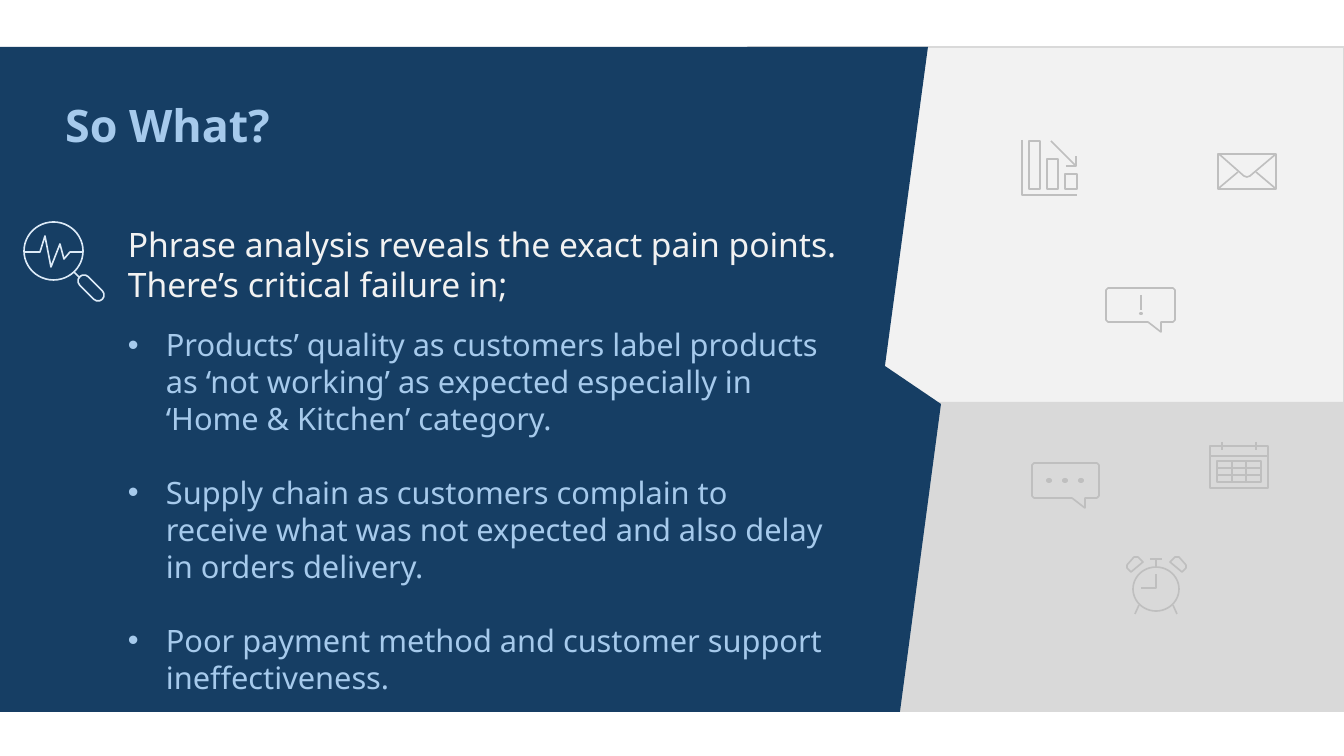
from lxml.etree import SubElement
from pptx import Presentation
from pptx.dml.color import RGBColor
from pptx.enum.shapes import MSO_CONNECTOR, MSO_SHAPE
from pptx.enum.text import MSO_ANCHOR, MSO_AUTO_SIZE, PP_ALIGN
from pptx.oxml.ns import qn
from pptx.util import Pt

PX = 914400 / 100.8
FONT = "Noto Sans"
ICON_STROKE = 1.15
COLORS = {
    "navy": "163E64", "sky": "A6CAEC", "ice": "DCEAF7",
    "light": "F2F2F2", "gray": "D9D9D9", "icon": "BFBFBF",
}


def paint(shape, fill=None, line=None, width=ICON_STROKE):
    """Set fill and line by colour name; None leaves that part empty."""
    shape.shadow.inherit = False
    if fill:
        shape.fill.solid()
        shape.fill.fore_color.rgb = RGBColor.from_string(COLORS[fill])
    else:
        shape.fill.background()
    if line:
        shape.line.color.rgb = RGBColor.from_string(COLORS[line])
        shape.line.width = Pt(width)
    else:
        shape.line.fill.background()


def write(frame, paragraphs, size, color, bold=False):
    frame.text = "\n".join(paragraphs)
    frame.word_wrap = True
    frame.auto_size = MSO_AUTO_SIZE.NONE
    frame.vertical_anchor = MSO_ANCHOR.TOP
    for paragraph in frame.paragraphs:
        paragraph.alignment = PP_ALIGN.LEFT
        for run in paragraph.runs:
            run.font.name = FONT
            run.font.size = Pt(size)
            run.font.bold = bold
            run.font.color.rgb = RGBColor.from_string(COLORS[color])


prs = Presentation()
prs.slide_width = round(1344 * PX)
prs.slide_height = round(756 * PX)
slide = prs.slides.add_slide(prs.slide_layouts[5])
shapes = slide.shapes

# Background panels
for top, height, fill, line in [(47, 376, "light", "gray"), (402, 310, "gray", None)]:
    panel = shapes.add_shape(MSO_SHAPE.RECTANGLE, *(round(v * PX) for v in (748, top, 596, height)))
    paint(panel, fill, line, 1.5)

navy_edge = [(928, 47), (885, 366), (941, 404), (900, 712), (-2, 712)]
builder = shapes.build_freeform(-2, 47, scale=PX)
builder.add_line_segments(navy_edge, close=True)
paint(builder.convert_to_shape(), "navy")

# Icon outlines: colour, closed or open, points
outlines = [
    # falling bar chart
    ("icon", False, [(1022, 140), (1022, 195), (1077, 195)]),
    ("icon", False, [(1066, 166), (1076, 166), (1076, 156)]),
    # envelope flap
    ("icon", False, [(1219, 154), (1244, 176), (1247, 177), (1250, 176), (1276, 154)]),
    # clock hands
    ("icon", False, [(1156, 574), (1156, 588), (1141, 588)]),
    # magnifier pulse
    ("ice", False, [(24, 252), (40, 252), (45, 236), (51, 267), (60, 244),
                    (64, 259), (70, 252), (82, 252)]),
]
for left, top, right, bottom in [(1106, 288, 1175, 322), (1032, 463, 1099, 498)]:
    outlines.append(("icon", True, [
        (left + 2, top), (right - 2, top), (right, top + 2), (right, bottom - 2),
        (right - 2, bottom), (right - 14, bottom), (right - 14, bottom + 10),
        (right - 27, bottom), (left + 2, bottom), (left, bottom - 2), (left, top + 2)]))
clock_bell = [(1134, 557), (1138, 557), (1143, 562), (1131, 572), (1127, 568), (1127, 565)]
outlines.append(("icon", True, clock_bell))
outlines.append(("icon", True, [(2313 - x, y) for x, y in clock_bell]))

for color, closed, points in outlines:
    builder = shapes.build_freeform(*points[0], scale=PX)
    builder.add_line_segments(points[1:], close=closed)
    paint(builder.convert_to_shape(), line=color)

# Icon boxes and rings: preset, colour, left, top, width, height
frames = [
    (MSO_SHAPE.RECTANGLE, "icon", 1029, 141, 11, 48),
    (MSO_SHAPE.RECTANGLE, "icon", 1047, 159, 11, 30),
    (MSO_SHAPE.RECTANGLE, "icon", 1065, 174, 12, 15),
    (MSO_SHAPE.RECTANGLE, "icon", 1218, 154, 58, 35),
    (MSO_SHAPE.RECTANGLE, "icon", 1210, 446, 58, 42),
    (MSO_SHAPE.RECTANGLE, "icon", 1217, 461, 44, 21),
    (MSO_SHAPE.OVAL, "icon", 1133, 567, 46, 44),
    (MSO_SHAPE.OVAL, "ice", 24, 222, 59, 58),
]
for preset, color, *box in frames:
    paint(shapes.add_shape(preset, *(round(v * PX) for v in box)), line=color)

handle = shapes.add_shape(MSO_SHAPE.ROUNDED_RECTANGLE, *(round(v * PX) for v in (75, 282, 32, 12)))
handle.adjustments[0] = 0.5
handle.rotation = 45
paint(handle, line="ice")

# Dots of the two speech bubbles
for box in [(1139, 312, 4, 3)] + [(1046 + 16 * i, 478, 6, 5) for i in range(3)]:
    paint(shapes.add_shape(MSO_SHAPE.OVAL, *(round(v * PX) for v in box)), "icon")

# Single strokes: colour, start, end
strokes = [
    ("icon", 1051, 141, 1076, 166),
    ("icon", 1219, 188, 1238, 172), ("icon", 1275, 188, 1256, 172),
    ("icon", 1141, 295, 1141, 310),
    ("icon", 1210, 456, 1268, 456),
    ("icon", 1150, 559, 1162, 559), ("icon", 1156, 559, 1156, 567),
    ("icon", 1139, 605, 1135, 614), ("icon", 1173, 605, 1177, 614),
    ("ice", 74, 272, 80, 278),
]
strokes += [("icon", x, 442, x, 450) for x in (1222, 1256)]
strokes += [("icon", x, 461, x, 482) for x in (1232, 1246)]
strokes += [("icon", 1217, y, 1261, y) for y in (468, 475)]
for color, *ends in strokes:
    stroke = shapes.add_connector(MSO_CONNECTOR.STRAIGHT, *(round(v * PX) for v in ends))
    stroke.line.color.rgb = RGBColor.from_string(COLORS[color])
    stroke.line.width = Pt(ICON_STROKE)
    SubElement(stroke._element.spPr, qn("a:effectLst"))

# Text; the title is brought in front of the navy panel
title = shapes.title
title.left, title.top, title.width, title.height = (round(v * PX) for v in (55, 93, 466, 64))
write(title.text_frame, ["So What?"], 32, "sky", bold=True)
shapes._spTree.append(title._element)

lead = shapes.add_textbox(*(round(v * PX) for v in (118, 219, 729, 92)))
write(lead.text_frame, [
    "Phrase analysis reveals the exact pain points.",
    "There’s critical failure in;",
], 24, "light")

findings = shapes.add_textbox(*(round(v * PX) for v in (118, 321, 729, 383)))
write(findings.text_frame, [
    "Products’ quality as customers label products as ‘not working’ as expected "
    "especially in ‘Home & Kitchen’ category.",
    "Supply chain as customers complain to receive what was not expected and also "
    "delay in orders delivery.",
    "Poor payment method and customer support ineffectiveness.",
], 22, "sky")
for finding in findings.text_frame.paragraphs:
    finding.space_after = Pt(26.4)
    properties = finding._p.get_or_add_pPr()
    properties.set("marL", str(round(38 * PX)))
    properties.set("indent", str(round(-38 * PX)))
    SubElement(properties, qn("a:buFont"), typeface="Arial")
    SubElement(properties, qn("a:buChar"), char="•")

prs.save("out.pptx")
